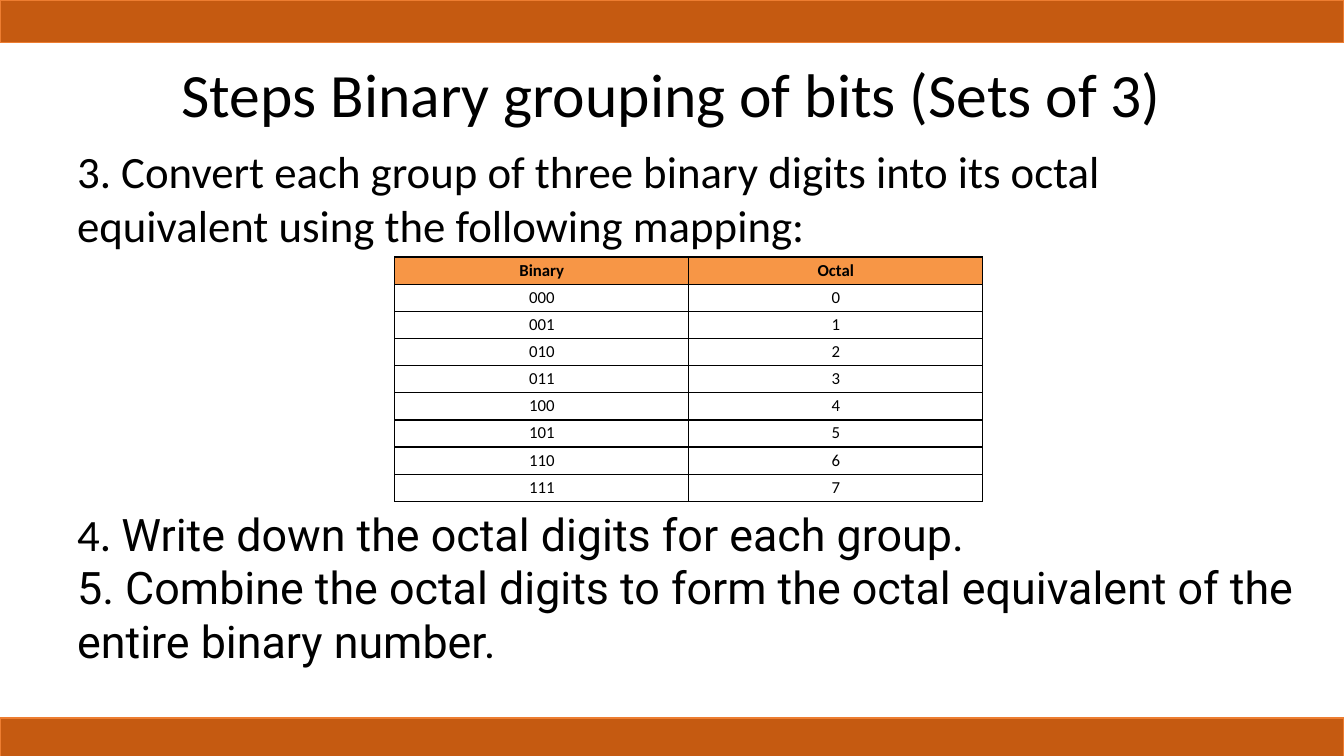
from dataclasses import dataclass

from lxml import etree
from pptx import Presentation
from pptx.dml.color import RGBColor
from pptx.enum.shapes import MSO_SHAPE
from pptx.enum.text import MSO_ANCHOR, PP_ALIGN
from pptx.oxml.ns import qn
from pptx.util import Inches, Length, Pt

RECTANGLE = MSO_SHAPE.RECTANGLE
TOP, MIDDLE = MSO_ANCHOR.TOP, MSO_ANCHOR.MIDDLE
LEFT, CENTER = PP_ALIGN.LEFT, PP_ALIGN.CENTER

SLIDE_WIDTH, SLIDE_HEIGHT = Inches(13.33), Inches(7.5)
COLUMNS, ROWS = 40, 30
BLACK, HEADER_ORANGE = "000000", "F79646"
BAND_ORANGE, BAND_EDGE = "C55A11", "ED7D31"
CALIBRI, ROBOTO = "Calibri", "Roboto"


@dataclass
class Area:
    """A place on the slide, in grid columns and rows."""
    column: float
    row: float
    width: float
    height: float

    def box(self) -> tuple[Length, Length, Length, Length]:
        return (columns(self.column), rows(self.row),
                columns(self.width), rows(self.height))


@dataclass
class TextBlock:
    area: Area
    paragraphs: list[list[tuple[str, str]]]  # runs of (text, font name)
    size: int = 32
    align: PP_ALIGN = LEFT
    anchor: MSO_ANCHOR = TOP


BANDS = [Area(0, row, COLUMNS, 1.7) for row in (0, 28.5)]
TEXT_BLOCKS = [
    TextBlock(Area(2, 1.2, 36, 5),
              [[("Steps Binary grouping of bits (Sets of 3)", CALIBRI)]],
              44, CENTER, MIDDLE),
    TextBlock(Area(2, 5.5, 36, 5),
              [[("3. Convert each group of three binary digits into its octal "
                 "equivalent using the following mapping:", CALIBRI)]]),
    TextBlock(Area(2, 19.9, 37, 6.9),
              [[("4. ", CALIBRI),
                ("Write down the octal digits for each group.", ROBOTO)],
               [("5. Combine the octal digits to form the octal equivalent of "
                 "the entire binary number.", ROBOTO)]]),
]
MAPPING_AREA = Area(11.75, 10.2, 17.5, 9.7)
MAPPING = [("Binary", "Octal")] + [(f"{digit:03b}", str(digit)) for digit in range(8)]


def columns(count: float) -> Length:
    return Length(round(SLIDE_WIDTH * count / COLUMNS))


def rows(count: float) -> Length:
    return Length(round(SLIDE_HEIGHT * count / ROWS))


def color(value: str) -> RGBColor:
    return RGBColor.from_string(value)


def style_font(font, name: str, size: int, bold: bool = False) -> None:
    font.name, font.size, font.bold = name, Pt(size), bold
    font.color.rgb = color(BLACK)


def draw_text(slide, block: TextBlock) -> None:
    frame = slide.shapes.add_textbox(*block.area.box()).text_frame
    frame.word_wrap = True
    frame.vertical_anchor = block.anchor
    for index, runs in enumerate(block.paragraphs):
        paragraph = frame.add_paragraph() if index else frame.paragraphs[0]
        paragraph.alignment = block.align
        style_font(paragraph.font, runs[-1][1], block.size)
        for text, font_name in runs:
            run = paragraph.add_run()
            run.text = text
            style_font(run.font, font_name, block.size)


def draw_borders(cell) -> None:
    properties = cell._tc.get_or_add_tcPr()
    for index, side in enumerate(("a:lnL", "a:lnR", "a:lnT", "a:lnB")):
        line = etree.Element(qn(side), w=str(Pt(1)))
        fill = etree.SubElement(line, qn("a:solidFill"))
        etree.SubElement(fill, qn("a:srgbClr"), val=BLACK)
        properties.insert(index, line)


def draw_mapping(slide, area: Area, values: list[tuple[str, str]]) -> None:
    table = slide.shapes.add_table(len(values), len(values[0]), *area.box()).table
    table.horz_banding = False
    for row_index, row_values in enumerate(values):
        header = row_index == 0
        table.rows[row_index].height = rows(area.height / len(values))
        for column_index, text in enumerate(row_values):
            cell = table.cell(row_index, column_index)
            cell.text = text
            cell.margin_left = cell.margin_right = Inches(0.07)
            cell.margin_top = cell.margin_bottom = Inches(0.03)
            if header:
                cell.fill.solid()
                cell.fill.fore_color.rgb = color(HEADER_ORANGE)
            else:
                cell.fill.background()
            paragraph = cell.text_frame.paragraphs[0]
            paragraph.alignment = CENTER
            style_font(paragraph.font, CALIBRI, 12, header)
            draw_borders(cell)


def draw_band(slide, area: Area) -> None:
    shape = slide.shapes.add_shape(RECTANGLE, *area.box())
    shape.shadow.inherit = False
    shape.fill.solid()
    shape.fill.fore_color.rgb = color(BAND_ORANGE)
    shape.line.color.rgb = color(BAND_EDGE)
    shape.line.width = Pt(1)


def main() -> None:
    presentation = Presentation()
    presentation.slide_width, presentation.slide_height = SLIDE_WIDTH, SLIDE_HEIGHT
    slide = presentation.slides.add_slide(presentation.slide_layouts[6])

    # Title, steps and mapping table
    for block in TEXT_BLOCKS:
        draw_text(slide, block)
    draw_mapping(slide, MAPPING_AREA, MAPPING)

    # Bands along the top and bottom edges
    for area in BANDS:
        draw_band(slide, area)

    presentation.save("out.pptx")


if __name__ == "__main__":
    main()
